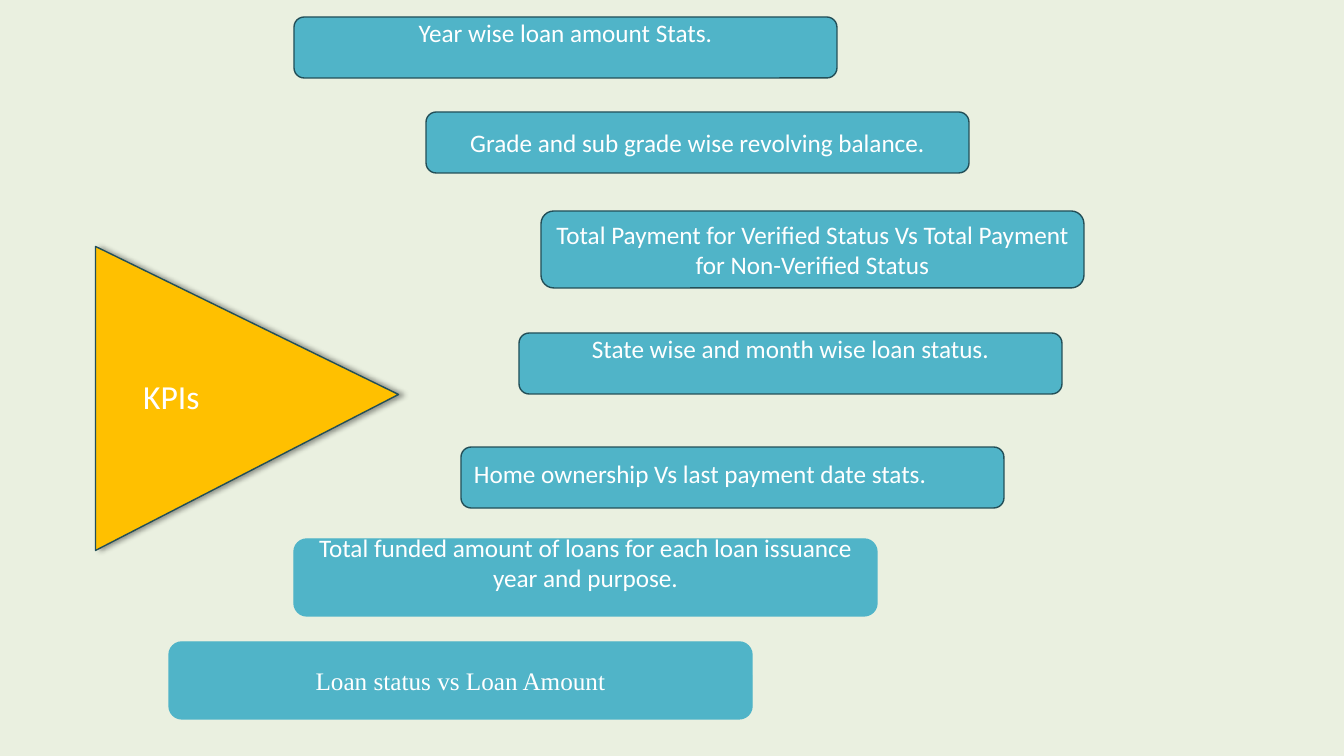
from lxml.etree import SubElement
from pptx import Presentation
from pptx.dml.color import RGBColor
from pptx.enum.shapes import MSO_SHAPE as Shape
from pptx.enum.text import MSO_ANCHOR as Anchor, PP_ALIGN as Align
from pptx.oxml.ns import qn
from pptx.util import Emu, Pt

PX = 914400 / 100.8
COLORS = {
    "page": "EAF0E0",
    "teal": "50B4C8",
    "edge": "234F58",
    "gold": "FFC000",
    "text": "FFFFFF",
    "shadow": "000000",
}
RAISED = 35
KPI_BOXES = [
    (426, 112, 543, 61, "Grade and sub grade wise revolving balance.", {}),
    (294, 17, 543, 61, "Year wise loan amount Stats.", {"bottom": RAISED}),
    (541, 211, 543, 77,
     "Total Payment for Verified Status Vs Total Payment for Non-Verified Status", {}),
    (519, 333, 543, 61, "State wise and month wise loan status.", {"bottom": RAISED}),
    (461, 447, 543, 61, "Home ownership Vs last payment date stats.",
     {"align": Align.LEFT, "spacing": 0.7}),
    (294, 539, 583, 77,
     "Total funded amount of loans for each loan issuance year and purpose.",
     {"edge": "teal", "bottom": RAISED}),
    (169, 642, 583, 77, "Loan status vs Loan Amount",
     {"edge": "teal", "font": "Times New Roman"}),
]


def px(length):
    """Convert pixels to EMU."""
    return Emu(round(length * PX))


def color(name):
    """Look up a named colour."""
    return RGBColor.from_string(COLORS[name])


def add_panel(page, kind, left, top, width, height, fill, edge):
    """Add a filled and outlined shape without a shadow."""
    panel = page.shapes.add_shape(kind, px(left), px(top), px(width), px(height))
    panel.shadow.inherit = False
    panel.fill.solid()
    panel.fill.fore_color.rgb = color(fill)
    panel.line.color.rgb = color(edge)
    panel.line.width = Pt(1)
    return panel


def write(panel, text, size, font="Calibri", align=Align.CENTER, spacing=None):
    """Write one vertically centred paragraph into a shape."""
    frame = panel.text_frame
    frame.word_wrap = True
    frame.vertical_anchor = Anchor.MIDDLE
    para = frame.paragraphs[0]
    para.alignment = align
    para.line_spacing = spacing
    span = para.add_run()
    span.text = text
    span.font.name = font
    span.font.size = Pt(size)
    span.font.color.rgb = color("text")


def add_kpi_box(page, left, top, width, height, text, edge="edge", bottom=5, **style):
    """Add a rounded box that names one KPI."""
    box = add_panel(page, Shape.ROUNDED_RECTANGLE, left, top, width, height, "teal", edge)
    write(box, text, 18, **style)
    box.text_frame.margin_bottom = px(bottom)


def add_shadow(panel, blur, distance, opacity):
    """Cast a soft shadow to the right of a shape."""
    effects = panel.element.spPr.find(qn("a:effectLst"))
    shadow = SubElement(effects, qn("a:outerShdw"), blurRad=str(Pt(blur)),
                        dist=str(Pt(distance)), dir="0", algn="l", rotWithShape="0")
    tint = SubElement(shadow, qn("a:srgbClr"), val=COLORS["shadow"])
    SubElement(tint, qn("a:alpha"), val=str(opacity * 1000))


def add_kpi_arrow(page):
    """Add the triangle that points to the KPI boxes."""
    arrow = add_panel(page, Shape.ISOSCELES_TRIANGLE, 95, 247, 304, 303, "gold", "edge")
    arrow.adjustments[0] = 0.487
    arrow.rotation = 90
    add_shadow(arrow, blur=4, distance=3, opacity=40)
    write(arrow, "KPIs", 24)
    arrow.element.txBody.bodyPr.set("vert", "vert270")


def main():
    """Build the KPI slide and save it."""
    deck = Presentation()
    deck.slide_width, deck.slide_height = px(1344), px(756)
    page = deck.slides.add_slide(deck.slide_layouts[6])
    page.background.fill.solid()
    page.background.fill.fore_color.rgb = color("page")
    for left, top, width, height, text, style in KPI_BOXES:
        add_kpi_box(page, left, top, width, height, text, **style)
    add_kpi_arrow(page)
    deck.save("out.pptx")


if __name__ == "__main__":
    main()
